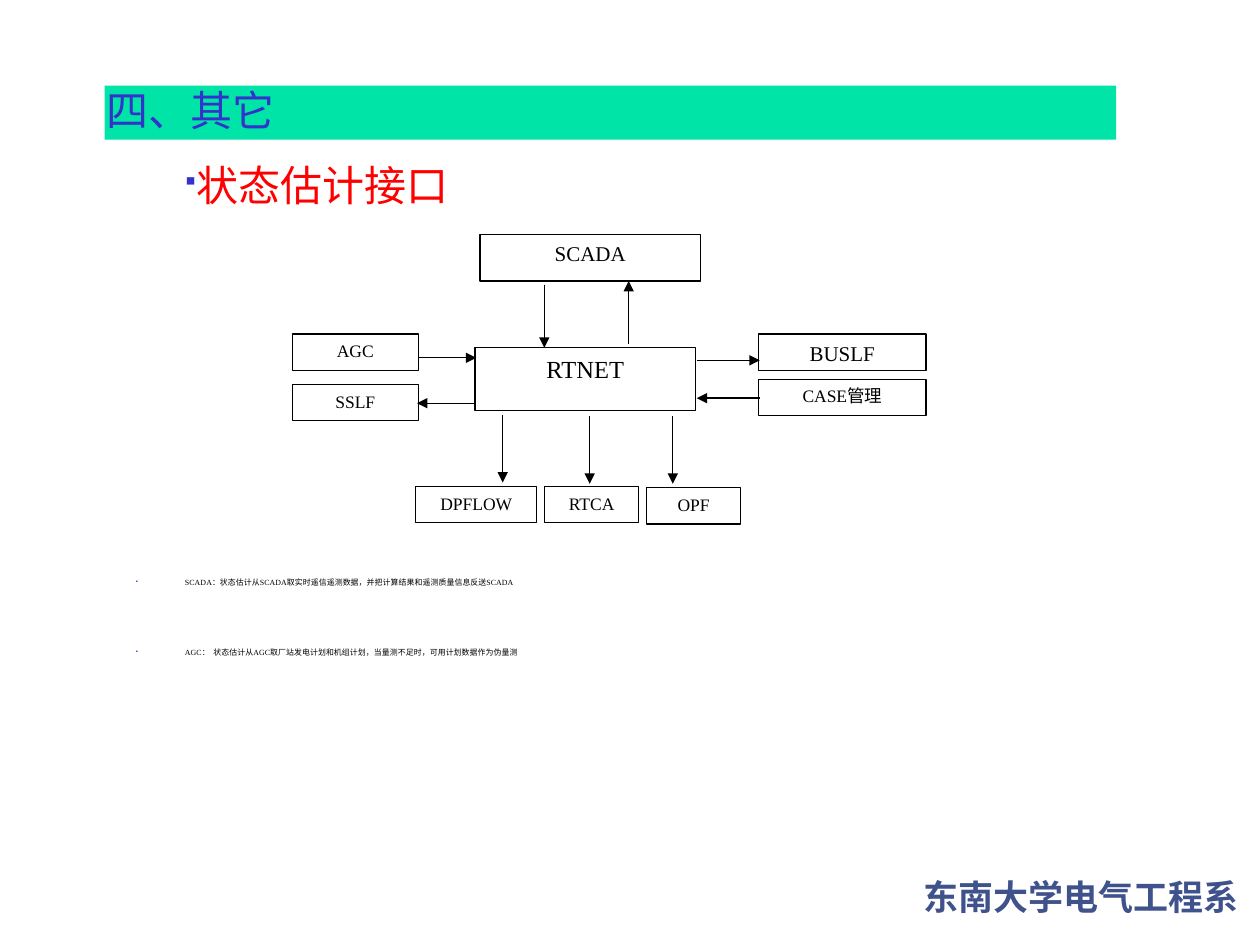
from lxml.etree import SubElement
from pptx import Presentation
from pptx.dml.color import RGBColor
from pptx.enum.shapes import MSO_CONNECTOR, MSO_SHAPE
from pptx.enum.text import MSO_ANCHOR, PP_ALIGN
from pptx.oxml.ns import qn
from pptx.util import Inches, Pt

# Content: places are in grid units, 100 columns by 75 rows
COLS, ROWS = 100, 75
HUES = {"band": "00E4A8", "blue": "3333CC", "red": "FF0000",
        "navy": "40528C", "ink": "000000", "paper": "FFFFFF"}
SERIF, SANS, BRAND = "Times New Roman", "Noto Sans CJK SC", "Roboto"

BAND = (8.3, 6.8, 80.3, 4.3)
TITLE = ("四、其它", (7.5, 6, 85.2, 5.2))
HEAD = ("状态估计接口", (9.8, 12.3, 72.4, 7.9))
FOOT = ("东南大学电气工程系", (71.6, 69, 28.4, 4.4))
NOTES = ([
    "SCADA：状态估计从SCADA取实时遥信遥测数据，并把计算结果和遥测质量信息反送SCADA",
    "AGC：  状态估计从AGC取厂站发电计划和机组计划，当量测不足时，可用计划数据作为伪量测",
], (9.8, 42.2, 82.7, 7.9))

# Modules: text runs, left, top, width, height, size
LOW = 2.9
NODES = [
    (["SCADA"], 38.1, 18.6, 17.5, 3.7, 12),
    (["RTNET"], 37.7, 27.6, 17.5, 5, 14),
    (["AGC"], 23.2, 26.5, 10, LOW, 10),
    (["SSLF"], 23.2, 30.5, 10, LOW, 10),
    (["BUSLF"], 60.2, 26.5, 13.3, LOW, 12),
    (["CASE", "管理"], 60.2, 30.1, 13.3, LOW, 10),
    (["DPFLOW"], 33, 38.6, 9.6, LOW, 10),
    (["RTCA"], 43.2, 38.6, 7.5, LOW, 10),
    (["OPF"], 51.3, 38.7, 7.5, LOW, 10),
]
# Upright arrows: column, from row, to row
DROPS = [(43.2, 22.6, 27.6), (49.9, 27.3, 22.3), (39.9, 32.9, 38.3),
         (46.8, 33, 38.4), (53.4, 33, 38.4)]
# Level arrows: row, from column, to column
LINKS = [(28.4, 33.2, 37.8), (32, 37.7, 33.1),
         (28.6, 55.3, 60.3), (31.6, 60.3, 55.3)]

deck = Presentation()
deck.slide_width, deck.slide_height = Inches(10), Inches(7.5)
page = deck.slides.add_slide(deck.slide_layouts[6])
COL, ROW = deck.slide_width / COLS, deck.slide_height / ROWS


def hue(name):
    return RGBColor.from_string(HUES[name])


def place(x, y, *size):
    spot = (x, y) + size
    return [round(n * (ROW if i % 2 else COL)) for i, n in enumerate(spot)]


def put(item, form):
    for key, val in form.items():
        setattr(item, key, val)


def write(para, text, font, size, tint, bold=False):
    run = para.add_run()
    run.text = text
    put(run.font, {"name": font, "size": Pt(size), "bold": bold})
    run.font.color.rgb = hue(tint)
    east = SubElement(run.font._element, qn("a:ea"))
    east.set("typeface", SANS)


def label(spot):
    frame = page.shapes.add_textbox(*place(*spot)).text_frame
    frame.word_wrap = True
    return frame


def block(spot, fill, line=None):
    box = page.shapes.add_shape(MSO_SHAPE.RECTANGLE, *place(*spot))
    box.shadow.inherit = False
    box.fill.solid()
    box.fill.fore_color.rgb = hue(fill)
    if line:
        box.line.color.rgb = hue(line)
        box.line.width = Pt(0.75)
    else:
        box.line.fill.background()
    return box


def bullet(para, left, first):
    put(para, {"line_spacing": Pt(28), "space_before": Pt(12)})
    props = para._p.get_or_add_pPr()
    props.set("marL", str(Inches(left)))
    props.set("indent", str(Inches(first)))
    tint = SubElement(props, qn("a:buClr"))
    SubElement(tint, qn("a:srgbClr")).set("val", HUES["blue"])
    for tag, key, val in [("buSzPct", "val", "60000"),
                          ("buFont", "typeface", "Wingdings"),
                          ("buChar", "char", "§")]:
        SubElement(props, qn("a:" + tag)).set(key, val)


def arrow(start, end):
    line = page.shapes.add_connector(
        MSO_CONNECTOR.STRAIGHT, *place(*start), *place(*end))
    line.line.color.rgb = hue("ink")
    line.line.width = Pt(0.75)
    SubElement(line.line._get_or_add_ln(), qn("a:tailEnd")).set("type", "triangle")
    SubElement(line._element.spPr, qn("a:effectLst"))


# Footer
text, spot = FOOT
para = label(spot).paragraphs[0]
put(para, {"alignment": PP_ALIGN.CENTER, "space_before": Pt(12.5)})
write(para, text, BRAND, 20, "navy", True)

# Title on its band
block(BAND, "band")
text, spot = TITLE
frame = label(spot)
frame.vertical_anchor = MSO_ANCHOR.BOTTOM
write(frame.paragraphs[0], text, SANS, 24, "blue")

# Heading
text, spot = HEAD
para = label(spot).paragraphs[0]
bullet(para, 0, 0.39)
write(para, text, SERIF, 24, "red")

# Modules
for runs, *spot, size in NODES:
    frame = block(spot, "paper", "ink").text_frame
    put(frame, {"word_wrap": True, "vertical_anchor": MSO_ANCHOR.TOP})
    para = frame.paragraphs[0]
    put(para, {"alignment": PP_ALIGN.CENTER, "space_before": Pt(size / 4)})
    for text, font in zip(runs, (SERIF, SANS)):
        write(para, text, font, size, "ink")

# Arrows
for col, top, end in DROPS:
    arrow((col, top), (col, end))
for row, left, end in LINKS:
    arrow((left, row), (end, row))

# Notes
lines, spot = NOTES
frame = label(spot)
for i, text in enumerate(lines):
    para = frame.add_paragraph() if i else frame.paragraphs[0]
    bullet(para, 0.39, -0.39)
    write(para, text, SERIF, 4.5, "ink")

deck.save("out.pptx")
